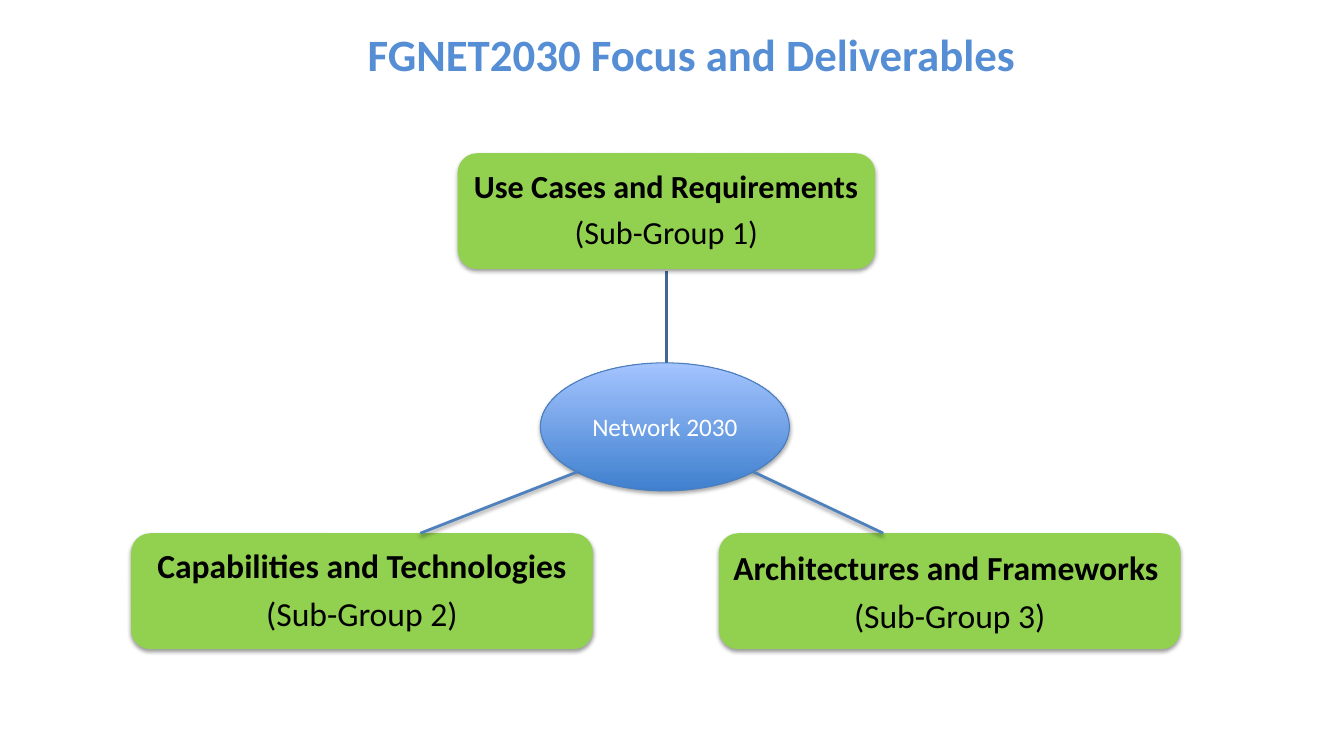
from lxml import etree
from pptx import Presentation
from pptx.dml.color import RGBColor
from pptx.enum.shapes import MSO_CONNECTOR, MSO_SHAPE
from pptx.enum.text import MSO_ANCHOR, PP_ALIGN
from pptx.oxml.ns import qn
from pptx.util import Inches, Pt

OVAL, ROUND = MSO_SHAPE.OVAL, MSO_SHAPE.ROUNDED_RECTANGLE
LINE = MSO_CONNECTOR.STRAIGHT
MID, CENTER = MSO_ANCHOR.MIDDLE, PP_ALIGN.CENTER
BLACK = RGBColor(0, 0, 0)
WHITE = RGBColor(0xFF, 0xFF, 0xFF)
GREEN = RGBColor(0x92, 0xD0, 0x50)
TITLE = RGBColor(0x55, 0x8E, 0xD5)
STEM = RGBColor(0x3F, 0x67, 0x97)
ARM = RGBColor(0x4F, 0x81, 0xBD)
EDGE = RGBColor(0x4B, 0x7E, 0xBC)
DEEP = RGBColor(0x3F, 0x80, 0xCE)
PALE = RGBColor(0xA4, 0xC4, 0xFF)


class Board:
    """Draws the styled parts of one slide."""

    def __init__(self, deck):
        self.font = "Calibri"
        self.slide = deck.slides.add_slide(deck.slide_layouts[5])
        self.shapes = self.slide.shapes

    def apply(self, target, style):
        for key, value in style.items():
            setattr(target, key, value)

    def label(self, para, text, size, color, bold=False, **style):
        run = para.add_run()
        run.text = text
        self.apply(run.font, dict(name=self.font, size=Pt(size), bold=bold))
        run.font.color.rgb = color
        self.apply(para, dict(alignment=CENTER, **style))

    def shade(self, shape, alpha=0):
        part = etree.SubElement(shape._element.spPr, qn("a:effectLst"))
        if alpha:
            cast = etree.SubElement(part, qn("a:outerShdw"), blurRad=str(Pt(3.1)),
                                    dist=str(Pt(1.6)), dir="5400000", rotWithShape="0")
            tone = etree.SubElement(cast, qn("a:srgbClr"), val="000000")
            etree.SubElement(tone, qn("a:alpha"), val=str(alpha * 1000))

    def title(self, text):
        shape = self.shapes.title
        self.apply(shape, dict(left=Inches(0.86), top=Inches(-0.09),
                               width=Inches(12), height=Inches(1.25)))
        shape.text_frame.vertical_anchor = MID
        self.label(shape.text_frame.paragraphs[0], text, 32, TITLE, True)

    def box(self, left, top, width, name, group, size, lead=0.9):
        shape = self.shapes.add_shape(ROUND, Inches(left), Inches(top),
                                      Inches(width), Inches(1.15))
        shape.fill.solid()
        shape.fill.fore_color.rgb = GREEN
        shape.line.fill.background()
        self.shade(shape, 38)
        frame = shape.text_frame
        self.apply(frame, dict(word_wrap=True, vertical_anchor=MID,
                               margin_left=Inches(0.06), margin_right=Inches(0.06),
                               margin_top=Inches(0.06), margin_bottom=Inches(0.06)))
        gap = Pt(size * 0.35)
        self.label(frame.paragraphs[0], name, size, BLACK, True,
                   line_spacing=lead, space_after=gap)
        self.label(frame.add_paragraph(), group, size, BLACK,
                   line_spacing=0.9, space_after=gap)

    def hub(self, left, top, width, height, text):
        shape = self.shapes.add_shape(OVAL, Inches(left), Inches(top),
                                      Inches(width), Inches(height))
        shape.fill.gradient()
        shape.fill.gradient_angle = 90
        for stop, color, place in zip(shape.fill.gradient_stops, (DEEP, PALE), (0, 1)):
            stop.color.rgb = color
            stop.position = place
        shape.line.color.rgb = EDGE
        shape.line.width = Pt(0.75)
        self.shade(shape, 35)
        self.apply(shape.text_frame, dict(word_wrap=True, vertical_anchor=MID))
        self.label(shape.text_frame.paragraphs[0], text, 18, WHITE)

    def link(self, start, end, color, alpha=0):
        ends = [Inches(value) for value in (*start, *end)]
        line = self.shapes.add_connector(LINE, *ends)
        line.line.color.rgb = color
        line.line.width = Pt(2)
        self.shade(line, alpha)


def main():
    deck = Presentation()
    deck.slide_width, deck.slide_height = Inches(13.33), Inches(7.5)
    board = Board(deck)
    board.title("FGNET2030 Focus and Deliverables")
    board.link((6.61, 2.69), (6.61, 3.6), STEM)
    board.box(4.54, 1.52, 4.14, "Use Cases and Requirements", "(Sub-Group 1)", 23)
    board.box(7.13, 5.29, 4.58, "Architectures and Frameworks ", "(Sub-Group 3)", 24, 1.0)
    board.box(1.3, 5.29, 4.58, "Capabilities and Technologies", "(Sub-Group 2)", 24)
    board.hub(5.36, 3.6, 2.47, 1.27, "Network 2030")
    board.link((7.47, 4.68), (8.76, 5.29), ARM, 38)
    board.link((5.73, 4.68), (4.17, 5.29), ARM, 38)
    deck.save("out.pptx")


if __name__ == "__main__":
    main()
